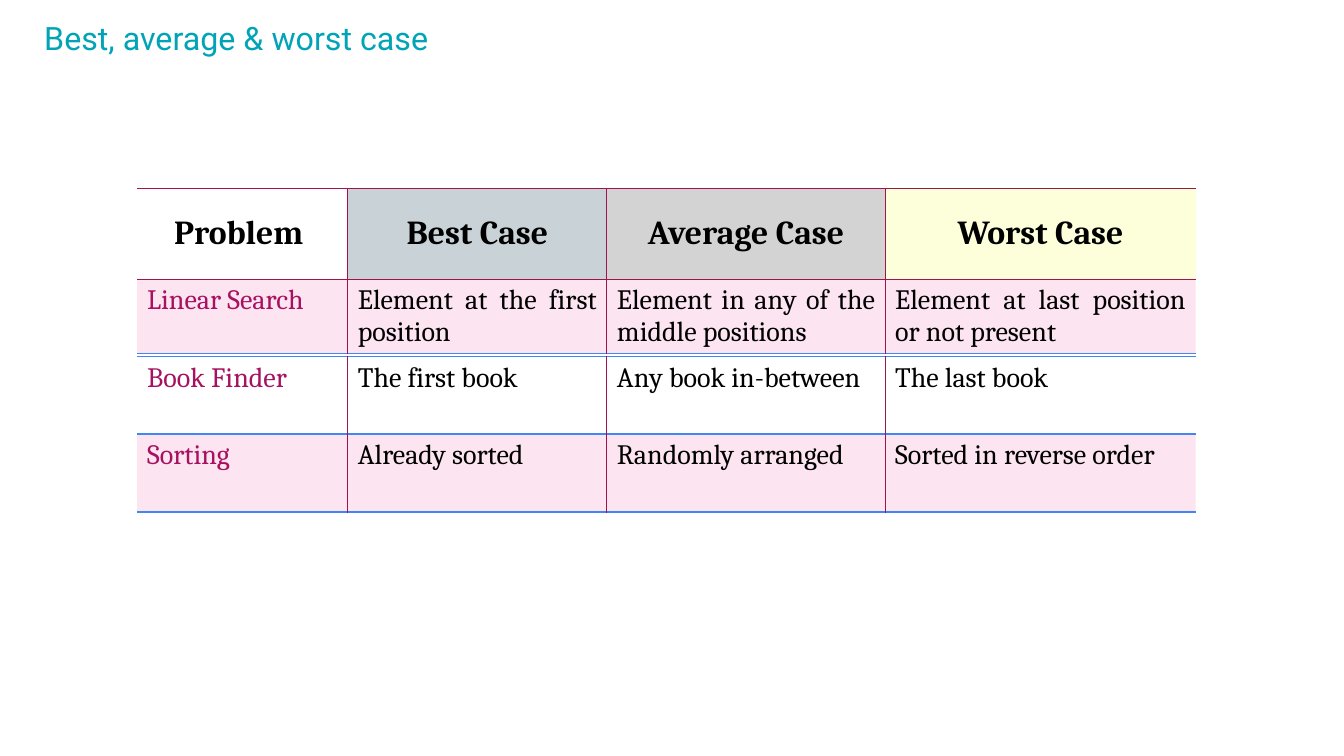
from dataclasses import dataclass
from typing import Optional

from lxml.etree import SubElement
from pptx import Presentation
from pptx.dml.color import RGBColor
from pptx.enum.text import MSO_ANCHOR as Anchor, PP_ALIGN as Align
from pptx.oxml.ns import qn
from pptx.util import Inches, Pt

COLORS = {
    "title": "00A4B6",
    "text": "000000",
    "problem": "A71160",
    "wine": "A0144D",
    "blue": "4285F4",
    "pink": "F27EBB",
    "best": "C9D3D7",
    "average": "D3D3D3",
    "worst": "FCFFD9",
}
TABLE_LEFT = 1.36
COLUMN_WIDTHS = (2.09, 2.57, 2.76, 3.08)
PINK_ROW = ("pink",) * 4


@dataclass(frozen=True)
class Band:
    """One table of a single row."""
    top: float
    height: float
    texts: tuple[str, ...]
    fills: tuple[Optional[str], ...]
    top_line: str
    bottom_line: str
    is_header: bool = False


BANDS = (
    Band(1.87, 0.9, ("Problem ", "Best Case", "Average Case", "Worst Case"),
         (None, "best", "average", "worst"), "wine", "wine", is_header=True),
    Band(2.77, 0.74, ("Linear Search", "Element at the first position",
                      "Element in any of the middle positions",
                      "Element at last position or not present"),
         PINK_ROW, "wine", "blue"),
    Band(3.54, 0.76, ("Book Finder", "The first book", "Any book in-between",
                      "The last book"), (None,) * 4, "blue", "blue"),
    Band(4.31, 0.77, ("Sorting", "Already sorted", "Randomly arranged",
                      "Sorted in reverse order"), PINK_ROW, "blue", "blue"),
)


def rgb(name: str) -> RGBColor:
    return RGBColor.from_string(COLORS[name])


def set_font(para, name: str, size: float, color: str, bold: bool = False) -> None:
    font = para.font
    font.name, font.size, font.bold = name, Pt(size), bold
    font.color.rgb = rgb(color)


def set_border(cell, side: str, color: Optional[str]) -> None:
    """Draw a one-point border on side L, R, T or B, or none without a colour."""
    line = SubElement(cell._tc.get_or_add_tcPr(), qn(f"a:ln{side}"), w=str(Pt(1)))
    if color is None:
        SubElement(line, qn("a:noFill"))
    else:
        solid = SubElement(line, qn("a:solidFill"))
        SubElement(solid, qn("a:srgbClr"), val=COLORS[color])


def set_fill(cell, color: Optional[str]) -> None:
    if color is None:
        cell.fill.background()
        return
    cell.fill.solid()
    cell.fill.fore_color.rgb = rgb(color)
    if color == "pink":
        tint = cell._tc.tcPr.find(f".//{qn('a:solidFill')}[last()]")
        tint = cell._tc.tcPr.find(qn("a:solidFill")).find(qn("a:srgbClr"))
        SubElement(tint, qn("a:alpha"), val="20000")


def add_band(page, band: Band) -> None:
    last = len(COLUMN_WIDTHS) - 1
    table = page.shapes.add_table(
        1, len(COLUMN_WIDTHS), Inches(TABLE_LEFT), Inches(band.top),
        Inches(sum(COLUMN_WIDTHS)), Inches(band.height)).table
    table.first_row = table.horz_banding = False
    for index, width in enumerate(COLUMN_WIDTHS):
        table.columns[index].width = Inches(width)
        cell = table.cell(0, index)
        set_border(cell, "L", "wine" if index > 0 else None)
        set_border(cell, "R", "wine" if index < last else None)
        set_border(cell, "T", band.top_line)
        set_border(cell, "B", band.bottom_line)
        set_fill(cell, band.fills[index])
        cell.text = band.texts[index]
        para = cell.text_frame.paragraphs[0]
        if band.is_header:
            cell.vertical_anchor = Anchor.MIDDLE
            para.alignment = Align.CENTER
            set_font(para, "Cambria", 24, "text", bold=True)
        else:
            para.alignment = Align.JUSTIFY
            set_font(para, "Cambria", 20, "text" if index else "problem")


def add_title(page, text: str) -> None:
    box = page.shapes.add_textbox(Inches(0.34), Inches(0.08), Inches(9.32), Inches(0.63))
    frame = box.text_frame
    frame.word_wrap = True
    frame.margin_left = frame.margin_right = Inches(0.1)
    frame.margin_top = frame.margin_bottom = Inches(0.1)
    para = frame.paragraphs[0]
    para.text = text
    para.alignment = Align.JUSTIFY
    set_font(para, "Roboto", 23, "title")


def main() -> None:
    deck = Presentation()
    deck.slide_width, deck.slide_height = Inches(13.33), Inches(7.5)
    page = deck.slides.add_slide(deck.slide_layouts[6])
    for band in BANDS:
        add_band(page, band)
    add_title(page, "Best, average & worst case")
    deck.save("out.pptx")


if __name__ == "__main__":
    main()
